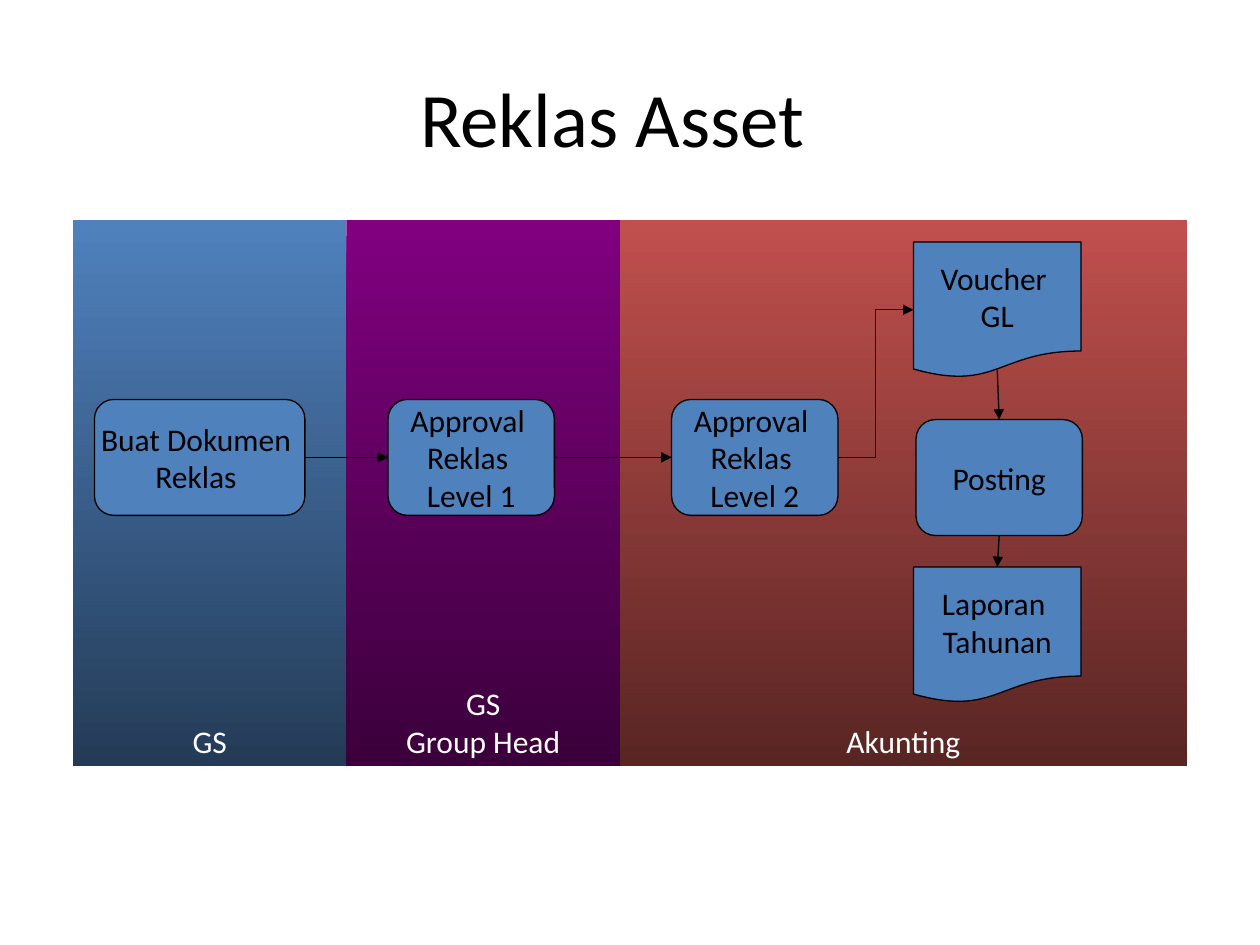
from lxml.etree import SubElement
from pptx import Presentation
from pptx.dml.color import RGBColor
from pptx.enum.shapes import MSO_CONNECTOR, MSO_SHAPE
from pptx.enum.text import MSO_ANCHOR, PP_ALIGN
from pptx.oxml.ns import qn
from pptx.util import Inches, Pt

FONT = "Calibri"
BLACK, WHITE, BOX_BLUE = "000000", "FFFFFF", "4F81BD"
TITLE = "Reklas Asset  "

# Lanes: label lines, width, top colour, bottom colour
LANE_LEFT, LANE_TOP, LANE_HEIGHT = 0.58, 1.75, 4.33
LANES = [
    (["GS"], 2.17, "4F81BD", "243B57"),
    (["GS", "Group Head"], 2.17, "800080", "3B003B"),
    (["Akunting"], 4.5, "C0504D", "582523"),
]

# Steps: name, shape, lines, left, top, width, height
PROCESS = MSO_SHAPE.FLOWCHART_ALTERNATE_PROCESS
DOCUMENT = MSO_SHAPE.FLOWCHART_DOCUMENT
STEPS = [
    ("create", PROCESS, ["Buat Dokumen ", "Reklas "], 0.75, 3.17, 1.67, 0.92),
    ("level 1", PROCESS, ["Approval ", "Reklas ", "Level 1"], 3.08, 3.17, 1.32, 0.92),
    ("level 2", PROCESS, ["Approval ", "Reklas ", "Level 2"], 5.33, 3.17, 1.32, 0.92),
    ("voucher", DOCUMENT, ["Voucher ", "GL"], 7.25, 1.92, 1.33, 1.08),
    ("report", DOCUMENT, ["Laporan ", "Tahunan"], 7.25, 4.5, 1.33, 1.08),
    ("posting", PROCESS, ["Posting"], 7.27, 3.33, 1.32, 0.92),
]

# Arrows: kind, from step and side, to step and side
TOP, LEFT, BOTTOM, RIGHT = range(4)
STRAIGHT, ELBOW = MSO_CONNECTOR.STRAIGHT, MSO_CONNECTOR.ELBOW
ARROWS = [
    (STRAIGHT, "create", RIGHT, "level 1", LEFT),
    (STRAIGHT, "level 1", RIGHT, "level 2", LEFT),
    (ELBOW, "level 2", RIGHT, "voucher", LEFT),
    (STRAIGHT, "voucher", BOTTOM, "posting", TOP),
    (STRAIGHT, "posting", BOTTOM, "report", TOP),
]
VOUCHER_WAVE_Y = 2.94


def color(hex_string):
    return RGBColor.from_string(hex_string)


def write(shape, lines, size, text_color, anchor, wrap=False):
    frame = shape.text_frame
    frame.text = "\n".join(lines)
    frame.word_wrap = wrap
    frame.vertical_anchor = anchor
    for paragraph in frame.paragraphs:
        paragraph.alignment = PP_ALIGN.CENTER
        for run in paragraph.runs:
            run.font.name = FONT
            run.font.size = Pt(size)
            run.font.color.rgb = color(text_color)


def add_box(slide, kind, left, top, width, height):
    shape = slide.shapes.add_shape(
        kind, Inches(left), Inches(top), Inches(width), Inches(height))
    shape.shadow.inherit = False
    return shape


def outline(item):
    item.line.color.rgb = color(BLACK)
    item.line.width = Pt(0.75)


def add_lane(slide, lines, left, width, top_color, bottom_color):
    lane = add_box(slide, MSO_SHAPE.RECTANGLE, left, LANE_TOP, width, LANE_HEIGHT)
    lane.fill.gradient()
    lane.fill.gradient_angle = 270
    for stop, stop_color in zip(lane.fill.gradient_stops, (top_color, bottom_color)):
        stop.color.rgb = color(stop_color)
    lane.line.fill.background()
    write(lane, lines, 18, WHITE, MSO_ANCHOR.BOTTOM)


def add_step(slide, kind, lines, *place):
    step = add_box(slide, kind, *place)
    step.fill.solid()
    step.fill.fore_color.rgb = color(BOX_BLUE)
    outline(step)
    write(step, lines, 18, BLACK, MSO_ANCHOR.MIDDLE)
    return step


def add_arrow(slide, kind, start, start_side, end, end_side):
    arrow = slide.shapes.add_connector(kind, 0, 0, 0, 0)
    arrow.begin_connect(start, start_side)
    arrow.end_connect(end, end_side)
    outline(arrow)
    SubElement(arrow.line._get_or_add_ln(), qn("a:tailEnd"), type="triangle")
    SubElement(arrow._element.spPr, qn("a:effectLst"))
    return arrow


def main():
    presentation = Presentation()
    presentation.slide_width, presentation.slide_height = Inches(10), Inches(7.5)
    slide = presentation.slides.add_slide(presentation.slide_layouts[5])

    # Title
    title = slide.shapes.title
    title.left, title.top = Inches(0.5), Inches(0.3)
    title.width, title.height = Inches(9), Inches(1.25)
    write(title, [TITLE], 44, BLACK, MSO_ANCHOR.MIDDLE, wrap=True)

    # Lanes, side by side
    left = LANE_LEFT
    for lines, width, top_color, bottom_color in LANES:
        add_lane(slide, lines, left, width, top_color, bottom_color)
        left += width

    # Steps and the arrows between them
    steps = {name: add_step(slide, *rest) for name, *rest in STEPS}
    for kind, start, start_side, end, end_side in ARROWS:
        arrow = add_arrow(slide, kind, steps[start], start_side, steps[end], end_side)
        if (start, start_side) == ("voucher", BOTTOM):
            arrow.begin_y = Inches(VOUCHER_WAVE_Y)

    presentation.save("out.pptx")


if __name__ == "__main__":
    main()
